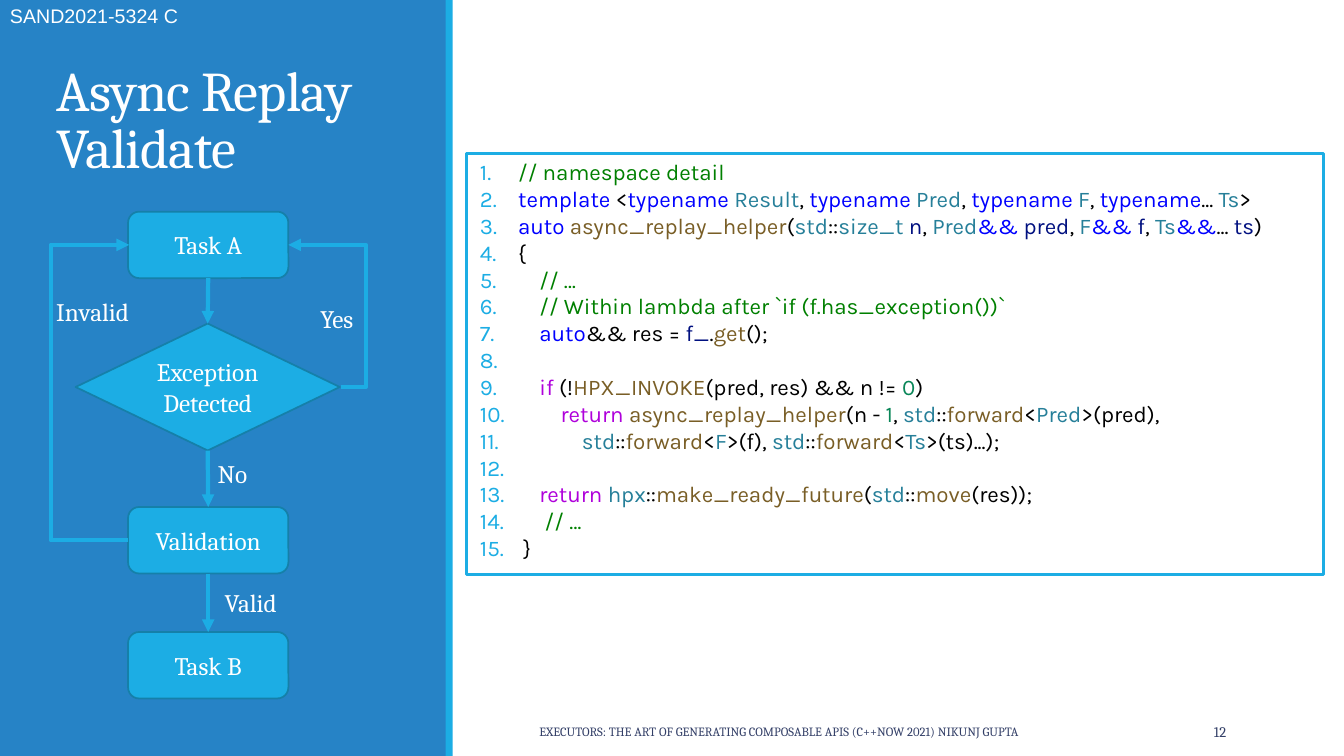
from lxml.etree import SubElement
from pptx import Presentation
from pptx.dml.color import RGBColor
from pptx.enum.shapes import MSO_CONNECTOR, MSO_SHAPE
from pptx.enum.text import MSO_ANCHOR, MSO_AUTO_SIZE, PP_ALIGN
from pptx.oxml.ns import qn
from pptx.util import Pt

PX = 9144  # 100 px to the inch
WHITE = RGBColor(0xFF, 0xFF, 0xFF)
BLACK = RGBColor(0x00, 0x00, 0x00)
PANEL_BLUE = RGBColor(0x26, 0x83, 0xC6)
CYAN = RGBColor(0x1C, 0xAD, 0xE4)
DARK_CYAN = RGBColor(0x15, 0x80, 0xA9)
FOOTER_NAVY = RGBColor(0x34, 0x40, 0x68)
COMMENT = RGBColor(0x00, 0x80, 0x00)
KEYWORD = RGBColor(0x00, 0x00, 0xFF)
TYPE = RGBColor(0x26, 0x7F, 0x99)
FUNCTION = RGBColor(0x79, 0x5E, 0x26)
VARIABLE = RGBColor(0x00, 0x10, 0x80)
CONTROL = RGBColor(0xAF, 0x00, 0xDB)
NUMBER = RGBColor(0x09, 0x86, 0x58)

TOKEN_GROUPS = {
    KEYWORD: "template typename auto &&",
    TYPE: "Result Pred F Ts std size_t hpx",
    FUNCTION: "async_replay_helper get HPX_INVOKE forward make_ready_future move",
    VARIABLE: "n pred f ts f_",
    CONTROL: "if return",
    NUMBER: "0 1",
}
TOKEN_COLORS = {token: color for color, tokens in TOKEN_GROUPS.items() for token in tokens.split()}

# Bars separate the tokens that are coloured on their own.
CODE_LINES = [
    "// namespace detail",
    "template| <|typename |Result|, |typename |Pred|, |typename |F|, |typename|... |Ts|>",
    "auto |async_replay_helper|(|std|::|size_t |n|, |Pred|&& |pred|, |F|&& |f|, |Ts|&&|... |ts|)",
    "{",
    "    // …",
    "    // Within lambda after `if (f.has_exception())`",
    "    |auto|&& res = |f_|.|get|();",
    " ",
    "    |if| (!|HPX_INVOKE|(pred, res) && n != |0|)",
    "        |return |async_replay_helper|(n - |1|, |std|::|forward|<|Pred|>(pred),",
    "            |std|::|forward|<|F|>(f), |std|::|forward|<|Ts|>(ts)...);",
    " ",
    "    |return |hpx|::|make_ready_future|(|std|::|move|(res));",
    "     // …",
    " }",
]


def add_text(para, text, font="Cambria", size=18, color=WHITE, align=PP_ALIGN.LEFT):
    para.alignment = align
    span = para.add_run()
    span.text = text
    span.font.name = font
    span.font.size = Pt(size)
    span.font.color.rgb = color
    return span


def add_box(kind, left, top, width, height, fill, line=None, line_width=1.25):
    box = slide.shapes.add_shape(kind, left * PX, top * PX, width * PX, height * PX)
    box.shadow.inherit = False
    box.fill.solid()
    box.fill.fore_color.rgb = fill
    if line is None:
        box.line.fill.background()
    else:
        box.line.color.rgb = line
        box.line.width = Pt(line_width)
    return box


deck = Presentation()
deck.slide_width, deck.slide_height = 1333 * PX, 750 * PX
slide = deck.slides.add_slide(deck.slide_layouts[5])

# Title on the blue side panel
title = slide.shapes.title
title.left, title.top, title.width, title.height = 46 * PX, 40 * PX, 350 * PX, 144 * PX
title.text_frame.vertical_anchor = MSO_ANCHOR.BOTTOM
title.text_frame.word_wrap = True
title.text_frame.auto_size = MSO_AUTO_SIZE.NONE
title_para = title.text_frame.paragraphs[0]
title_para.line_spacing = 0.85
title_span = add_text(title_para, "Async Replay Validate", size=40)
title_span.font._element.set("spc", "-50")

for left, width, color in [(0, 443, PANEL_BLUE), (442, 7, CYAN)]:
    panel = add_box(MSO_SHAPE.RECTANGLE, left, 0, width, 750, color)
    title.element.addprevious(panel.element)

# Numbered code listing
code_box = add_box(MSO_SHAPE.RECTANGLE, 463, 152, 850, 418, WHITE, CYAN, 2)
code_frame = code_box.text_frame
code_frame.word_wrap = True
code_frame.vertical_anchor = MSO_ANCHOR.TOP
code_frame.margin_left = code_frame.margin_right = 0
for index, code_line in enumerate(CODE_LINES):
    para = code_frame.paragraphs[0] if index == 0 else code_frame.add_paragraph()
    properties = para._p.get_or_add_pPr()
    properties.set("marL", str(51 * PX))
    properties.set("indent", str(-38 * PX))
    bullet_color = SubElement(properties, qn("a:buClr"))
    SubElement(bullet_color, qn("a:srgbClr"), val=str(CYAN))
    SubElement(properties, qn("a:buFont"), typeface="Karla")
    SubElement(properties, qn("a:buAutoNum"), type="arabicPeriod")
    for token in code_line.split("|"):
        word = token.strip()
        color = COMMENT if word.startswith("//") else TOKEN_COLORS.get(word, BLACK)
        add_text(para, token, font="Karla", size=16, color=color)

# Flowchart nodes
nodes = {}
for kind, left, top, width, height, text in [
    (MSO_SHAPE.ROUNDED_RECTANGLE, 127, 210, 159, 66, "Task A"),
    (MSO_SHAPE.DIAMOND, 75, 321, 262, 126, "Exception\nDetected"),
    (MSO_SHAPE.ROUNDED_RECTANGLE, 127, 503, 159, 66, "Validation"),
    (MSO_SHAPE.ROUNDED_RECTANGLE, 127, 627, 159, 66, "Task B"),
]:
    node = add_box(kind, left, top, width, height, CYAN, DARK_CYAN)
    frame = node.text_frame
    frame.word_wrap = True
    frame.vertical_anchor = MSO_ANCHOR.MIDDLE
    for index, line in enumerate(text.split("\n")):
        para = frame.paragraphs[0] if index == 0 else frame.add_paragraph()
        add_text(para, line, align=PP_ALIGN.CENTER)
    nodes[text] = node

# Arrows down the chain, then the two loops back to Task A
arrows = []
chain = list(nodes.values())
for upper, lower in zip(chain, chain[1:]):
    arrow = slide.shapes.add_connector(MSO_CONNECTOR.STRAIGHT, 0, 0, 0, 0)
    arrow.begin_connect(upper, 2)
    arrow.end_connect(lower, 0)
    arrows.append(arrow)

for start_x, start_y, end_x, end_y, turn_x in [(338, 384, 286, 243, 363), (127, 536, 128, 243, 49)]:
    loop = slide.shapes.add_connector(
        MSO_CONNECTOR.ELBOW, start_x * PX, start_y * PX, end_x * PX, end_y * PX)
    turn = round((turn_x - start_x) / (end_x - start_x) * 100000)
    loop.element.spPr.prstGeom.get_or_add_avLst()
    guides = loop.element.spPr.prstGeom.find(qn("a:avLst"))
    SubElement(guides, qn("a:gd"), name="adj1", fmla=f"val {turn}")
    arrows.append(loop)

for arrow in arrows:
    arrow.line.color.rgb = CYAN
    arrow.line.width = Pt(3)
    shape_properties = arrow.element.spPr
    SubElement(shape_properties.find(qn("a:ln")), qn("a:tailEnd"), type="triangle")
    SubElement(shape_properties, qn("a:effectLst"))

# Arrow labels and report number
for left, top, width, height, text, style in [
    (206, 450, 51, 40, "No", {}),
    (308, 296, 55, 40, "Yes", {}),
    (213, 578, 74, 40, "Valid", {}),
    (46, 289, 94, 40, "Invalid", {}),
    (0, -1, 189, 34, "SAND2021-5324 C", {"font": "Arial", "size": 14}),
]:
    label = slide.shapes.add_textbox(left * PX, top * PX, width * PX, height * PX)
    label.text_frame.word_wrap = False
    label.text_frame.auto_size = MSO_AUTO_SIZE.SHAPE_TO_FIT_TEXT
    add_text(label.text_frame.paragraphs[0], text, **style)

# Footer and page number
for left, width, text, size, align in [
    (525, 508, "EXECUTORS: THE ART OF GENERATING COMPOSABLE APIS (C++NOW 2021) NIKUNJ GUPTA",
     9, PP_ALIGN.LEFT),
    (1083, 143, "12", 10.5, PP_ALIGN.RIGHT),
]:
    footer = slide.shapes.add_textbox(left * PX, 706 * PX, width * PX, 40 * PX)
    footer.text_frame.word_wrap = True
    footer.text_frame.vertical_anchor = MSO_ANCHOR.MIDDLE
    add_text(footer.text_frame.paragraphs[0], text, size=size, color=FOOTER_NAVY, align=align)

deck.save("out.pptx")
